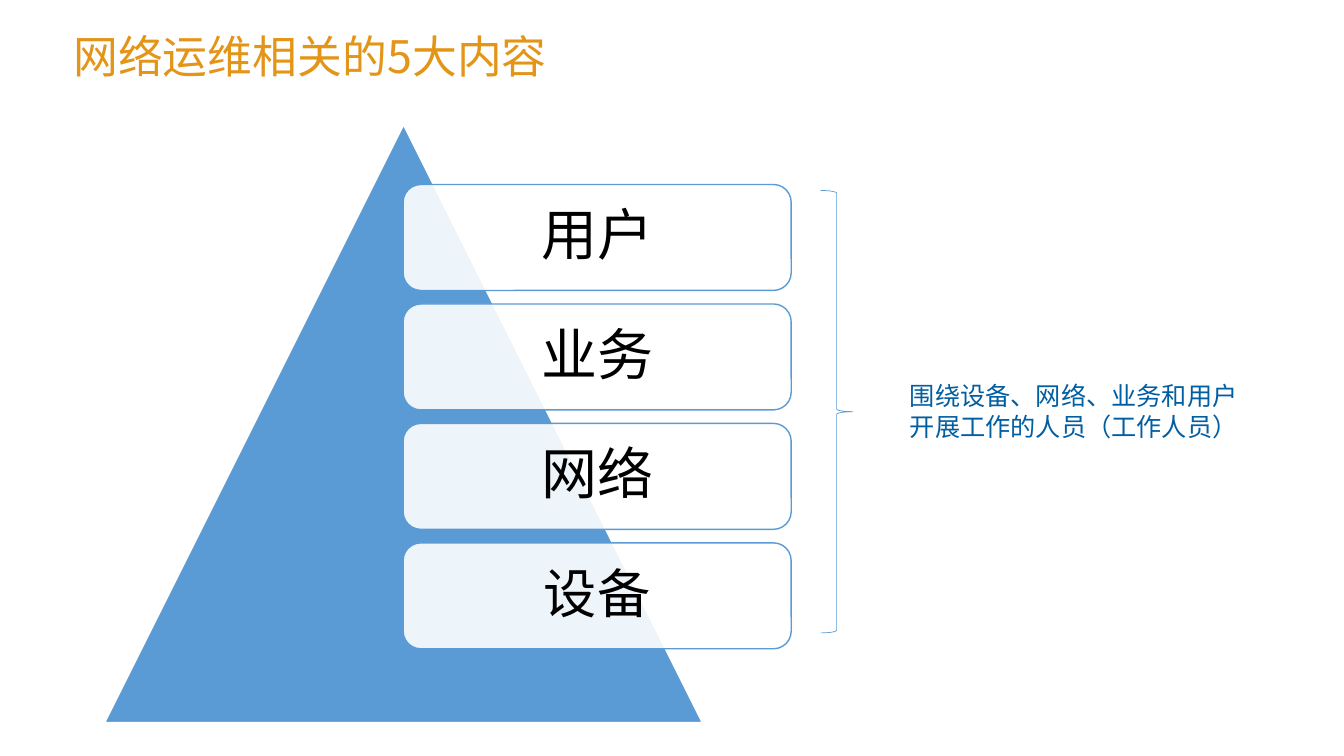
from lxml import etree
from pptx import Presentation
from pptx import util as u
from pptx.dml.color import RGBColor
from pptx.enum import shapes, text
from pptx.oxml import ns

COLOURS = {
    "blue": "5B9BD5",
    "white": "FFFFFF",
    "black": "000000",
    "orange": "E39517",
    "navy": "005EA2",
}
CJK_FONT = "Noto Sans CJK SC"
LAYERS = [("用户", 40), ("业务", 40), ("网络", 40), ("设备", 38)]
CARD_TOP, CARD_STEP = 4.65, 3.01


class PyramidSlide:
    """Draws styled elements on one slide, with lengths in centimetres."""

    def __init__(self, slide):
        self.slide = slide

    def colour(self, name):
        return RGBColor.from_string(COLOURS[name])

    def shape(self, kind, box, line, width, fill=None, opacity=100):
        shape = self.slide.shapes.add_shape(kind, *map(u.Cm, box))
        shape.shadow.inherit = False
        shape.line.color.rgb = self.colour(line)
        shape.line.width = u.Pt(width)
        if fill is None:
            shape.fill.background()
            return shape
        shape.fill.solid()
        shape.fill.fore_color.rgb = self.colour(fill)
        if opacity < 100:
            solid = shape.element.spPr.find(ns.qn("a:solidFill"))
            etree.SubElement(solid[0], ns.qn("a:alpha"), val=str(opacity * 1000))
        return shape

    def add_words(self, shape, words, size, colour, font, spacing=None):
        frame = shape.text_frame
        frame.word_wrap = True
        paragraph = frame.paragraphs[0]
        paragraph.line_spacing = spacing
        run = paragraph.add_run()
        run.text = words
        run.font.size = u.Pt(size)
        run.font.name = font
        run.font.color.rgb = self.colour(colour)
        properties = shape.element.find(".//" + ns.qn("a:rPr"))
        etree.SubElement(properties, ns.qn("a:ea"), typeface=CJK_FONT)
        return paragraph

    def text_box(self, box, words, size, colour, spacing=None):
        shape = self.slide.shapes.add_textbox(*map(u.Cm, box))
        self.add_words(shape, words, size, colour, CJK_FONT, spacing)
        shape.text_frame.auto_size = text.MSO_AUTO_SIZE.SHAPE_TO_FIT_TEXT

    def card(self, top, words, size):
        card = self.shape(shapes.MSO_SHAPE.ROUNDED_RECTANGLE, (10.16, top, 9.78, 2.67),
                          "blue", 1, "white", 90)
        paragraph = self.add_words(card, words, size, "black", "Calibri", 0.9)
        paragraph.alignment = text.PP_ALIGN.CENTER
        card.text_frame.vertical_anchor = text.MSO_ANCHOR.MIDDLE


def main():
    presentation = Presentation()
    presentation.slide_width = u.Cm(33.87)
    presentation.slide_height = u.Cm(19.05)
    page = PyramidSlide(presentation.slides.add_slide(presentation.slide_layouts[6]))

    page.shape(shapes.MSO_SHAPE.ISOSCELES_TRIANGLE, (2.64, 3.15, 15.06, 15.06),
               "white", 1, "blue")
    for index, (words, size) in enumerate(LAYERS):
        page.card(CARD_TOP + index * CARD_STEP, words, size)

    page.text_box((1.6, 0.76, 24.18, 1.5), "网络运维相关的5大内容", 32, "orange", 0.9)
    page.shape(shapes.MSO_SHAPE.RIGHT_BRACE, (20.68, 4.8, 0.81, 11.15), "blue", 0.5)
    page.text_box((22.68, 9.47, 9.17, 1.8),
                  "围绕设备、网络、业务和用户开展工作的人员（工作人员）", 18, "navy")
    presentation.save("out.pptx")


if __name__ == "__main__":
    main()
